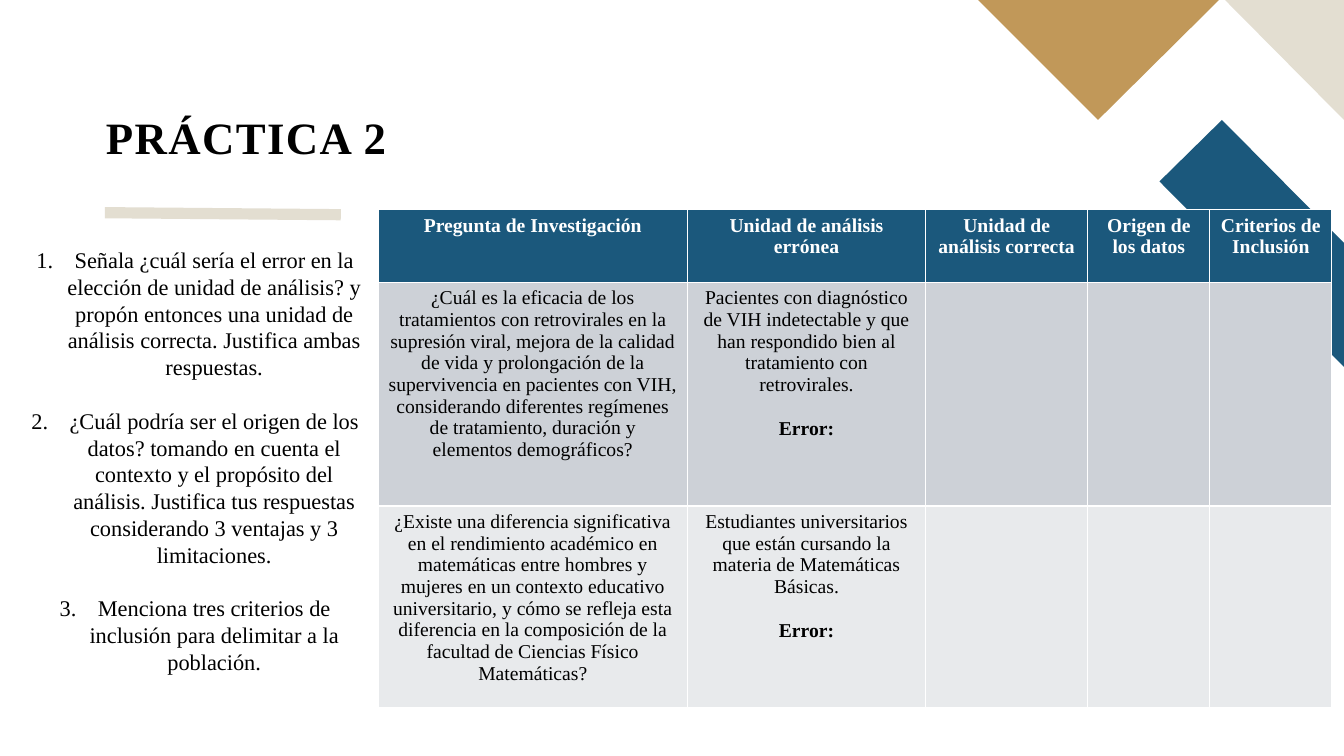
from dataclasses import dataclass

from lxml import etree
from pptx import Presentation
from pptx.dml.color import RGBColor
from pptx.enum.shapes import MSO_CONNECTOR
from pptx.enum.text import MSO_ANCHOR, PP_ALIGN
from pptx.oxml.ns import qn
from pptx.util import Inches, Pt

STRAIGHT = MSO_CONNECTOR.STRAIGHT
BOTTOM = MSO_ANCHOR.BOTTOM
CENTER, JUSTIFY = PP_ALIGN.CENTER, PP_ALIGN.JUSTIFY


@dataclass(frozen=True)
class Theme:
    font: str = "Times New Roman"
    black: RGBColor = RGBColor.from_string("000000")
    white: RGBColor = RGBColor.from_string("FFFFFF")
    blue: RGBColor = RGBColor.from_string("1B587C")
    sand: RGBColor = RGBColor.from_string("E3DED1")
    gold: RGBColor = RGBColor.from_string("C19859")
    dark_band: RGBColor = RGBColor.from_string("CDD1D7")
    light_band: RGBColor = RGBColor.from_string("E8EAEC")
    title_size: int = 32
    list_size: int = 16
    table_size: int = 14


theme = Theme()


def write(para, text, size, color=theme.black, bold=False, align=CENTER):
    para.alignment = align
    span = para.add_run()
    span.text = text
    span.font.color.rgb = color
    formats = {"name": theme.font, "size": Pt(size), "bold": bold}
    for name, value in formats.items():
        setattr(span.font, name, value)
    return span


def add_box(left, top, width, height, **formats):
    box = page.shapes.add_textbox(*map(Inches, (left, top, width, height)))
    frame = box.text_frame
    frame.word_wrap = True
    for name, value in formats.items():
        setattr(frame, name, value)
    return frame


deck = Presentation()
deck.slide_width, deck.slide_height = Inches(13.33), Inches(7.5)
page = deck.slides.add_slide(deck.slide_layouts[6])

# Rule under the title
rule = page.shapes.add_connector(
    STRAIGHT, Inches(1.04), Inches(2.11), Inches(3.38), Inches(2.13))
rule.line.color.rgb = theme.sand
rule.line.width = Pt(8)
etree.SubElement(rule._element.spPr, qn("a:effectLst"))

# Corner diamonds, cut off by the slide edges
diamonds = [
    (theme.blue, [(13.33, 3.64), (13.33, 2.41), (12.12, 1.19), (11.5, 1.8)]),
    (theme.sand, [(13.33, 1.19), (13.33, 0), (12.15, 0)]),
    (theme.gold, [(9.7, 0), (10.89, 1.19), (12.09, 0)]),
]
for color, points in diamonds:
    corners = [(Inches(x), Inches(y)) for x, y in points]
    builder = page.shapes.build_freeform(*corners[0])
    builder.add_line_segments(corners[1:], close=True)
    diamond = builder.convert_to_shape()
    diamond.shadow.inherit = False
    diamond.fill.solid()
    diamond.fill.fore_color.rgb = color
    diamond.line.fill.background()

# Title
no_margins = dict.fromkeys(
    ("margin_left", "margin_top", "margin_right", "margin_bottom"), 0)
title = add_box(1.05, 0.96, 8.5, 0.67, vertical_anchor=BOTTOM, **no_margins)
title.paragraphs[0].line_spacing = 0.9
span = write(title.paragraphs[0], "PRÁCTICA 2", theme.title_size,
             bold=True, align=JUSTIFY)
span.font._element.set("spc", "100")

# Numbered instructions
instructions = [
    "Señala ¿cuál sería el error en la elección de unidad de análisis? y propón "
    "entonces una unidad de análisis correcta. Justifica ambas respuestas.",
    "¿Cuál podría ser el origen de los datos? tomando en cuenta el contexto y el "
    "propósito del análisis. Justifica tus respuestas considerando 3 ventajas y "
    "3 limitaciones.",
    "Menciona tres criterios de inclusión para delimitar a la población.",
]
steps = add_box(0.12, 2.39, 3.63, 4.41)
for index, text in enumerate(instructions):
    para = steps.add_paragraph() if index else steps.paragraphs[0]
    para.space_before = Pt(19 if index else 0)
    write(para, text, theme.list_size)
    layout = para._p.get_or_add_pPr()
    layout.set("marL", str(Inches(0.38)))
    layout.set("indent", str(Inches(-0.38)))
    etree.SubElement(layout, qn("a:buFont"), typeface="+mj-lt")
    etree.SubElement(layout, qn("a:buAutoNum"), type="arabicPeriod")

# Table: each cell is a list of paragraphs
headings = ["Pregunta de Investigación", "Unidad de análisis errónea",
            "Unidad de análisis correcta", "Origen de los datos",
            "Criterios de Inclusión"]
rows = [
    [[heading] for heading in headings],
    [["¿Cuál es la eficacia de los tratamientos con retrovirales en la supresión "
      "viral, mejora de la calidad de vida y prolongación de la supervivencia en "
      "pacientes con VIH, considerando diferentes regímenes de tratamiento, "
      "duración y elementos demográficos?"],
     ["Pacientes con diagnóstico de VIH indetectable y que han respondido bien "
      "al tratamiento con retrovirales.", "Error:"], [], [], []],
    [["¿Existe una diferencia significativa en el rendimiento académico en "
      "matemáticas entre hombres y mujeres en un contexto educativo "
      "universitario, y cómo se refleja esta diferencia en la composición de la "
      "facultad de Ciencias Físico Matemáticas?"],
     ["Estudiantes universitarios que están cursando la materia de Matemáticas "
      "Básicas.", "Error:"], [], [], []],
]
widths = [3.07, 2.36, 1.61, 1.21, 1.21]
heights = [0.72, 2.22, 2]
fills = [theme.blue, theme.dark_band, theme.light_band]
table = page.shapes.add_table(
    len(rows), len(widths), Inches(3.75), Inches(2.08),
    Inches(sum(widths)), Inches(sum(heights))).table
for column, width in zip(table.columns, widths):
    column.width = Inches(width)
for row_index, row in enumerate(rows):
    table.rows[row_index].height = Inches(heights[row_index])
    is_header = row_index == 0
    for column_index, texts in enumerate(row):
        cell = table.cell(row_index, column_index)
        cell.fill.solid()
        cell.fill.fore_color.rgb = fills[row_index]
        for index, text in enumerate(texts):
            frame = cell.text_frame
            para = frame.add_paragraph() if index else frame.paragraphs[0]
            para.space_before = Pt(16 if index else 0)
            write(para, text, theme.table_size,
                  theme.white if is_header else theme.black,
                  bold=is_header or index > 0)

deck.save("out.pptx")
